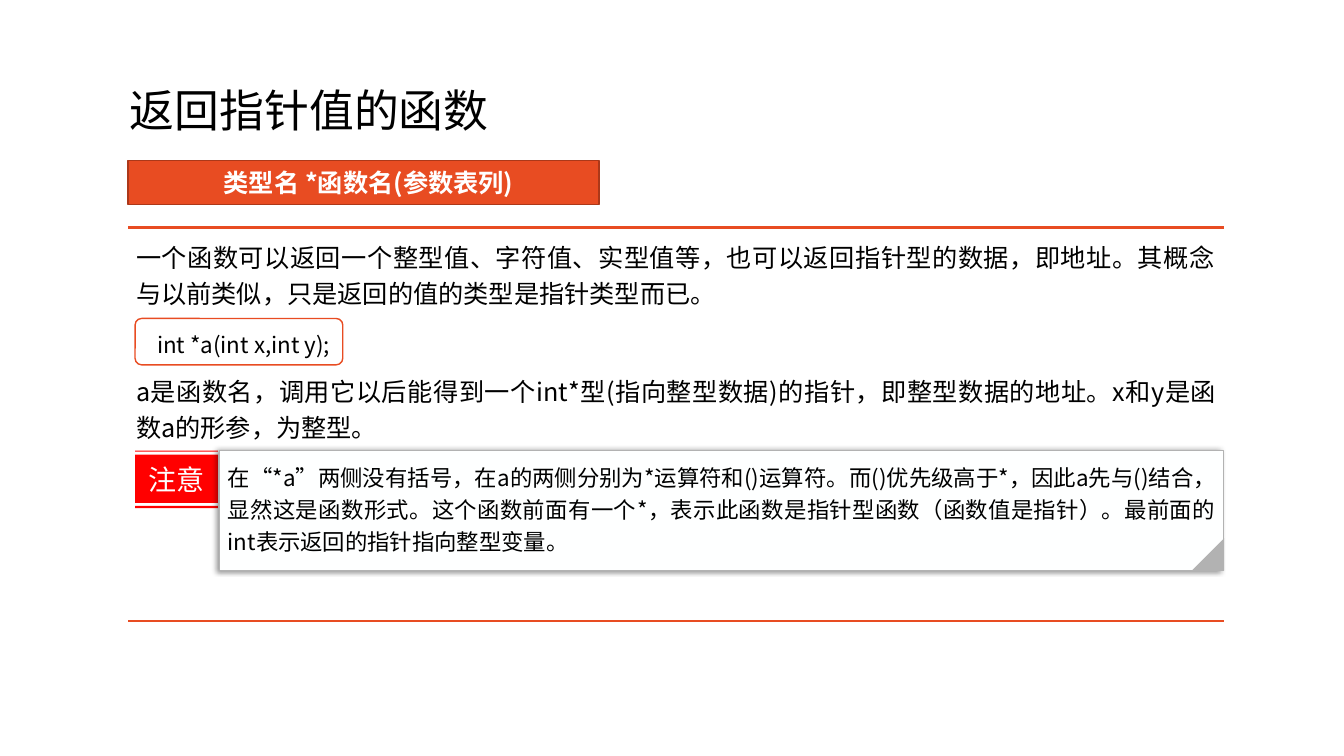
import dataclasses

import lxml.etree
import pptx
import pptx.dml.color
import pptx.enum.shapes
import pptx.enum.text
import pptx.oxml.ns
import pptx.util

TITLE = "返回指针值的函数"
SYNTAX = "类型名 *函数名(参数表列)"
BODY = [
    "一个函数可以返回一个整型值、字符值、实型值等，也可以返回指针型的数据，即地址。其概念与以前类似，只是返回的值的类型是指针类型而已。",
    "a是函数名，调用它以后能得到一个int*型(指向整型数据)的指针，即整型数据的地址。x和y是函数a的形参，为整型。",
]
CODE = "int *a(int x,int y);"
NOTE_LABEL = "注意"
NOTE = (
    "在“*a”两侧没有括号，在a的两侧分别为*运算符和()运算符。而()优先级高于*，"
    "因此a先与()结合，显然这是函数形式。这个函数前面有一个*，表示此函数是指针型函数"
    "（函数值是指针）。最前面的int表示返回的指针指向整型变量。"
)


@dataclasses.dataclass(frozen=True)
class Theme:
    font: str = "Noto Sans CJK SC"
    ink: str = "000000"
    paper: str = "FFFFFF"
    accent: str = "E84C22"
    accent_edge: str = "AC3819"
    alert: str = "FF0000"
    note_fill: str = "FEFFFF"
    note_edge: str = "B2B2B2"
    title: int = 32
    label: int = 20
    body: int = 18
    small: int = 16


THEME = Theme()
SHAPES = pptx.enum.shapes.MSO_SHAPE
ALIGN = pptx.enum.text.PP_ALIGN
ANCHOR = pptx.enum.text.MSO_ANCHOR
WIDTH, HEIGHT = 13.33, 7.5
LEFT, RIGHT = 1.27, 12.14           # edges of the content column
INNER = LEFT + 0.07                 # indented edge for code and note
RULE_TOP, RULE_BOTTOM = 2.26, 6.16
NOTE_LEFT, NOTE_TOP, NOTE_HEIGHT = 2.18, 4.47, 1.19
FOLD = 0.32
LABEL_WIDTH = 0.82
LABEL_BANDS = [(0, 0.01), (0.04, 0.52), (0.55, 0.57)]  # top, bottom below NOTE_TOP
WIDE_INSETS = (0.2, 0.05, 0.1, 0.05)
EVEN_INSETS = (0.08,) * 4


def inches(*values):
    return [pptx.util.Inches(value) for value in values]


def rgb(code):
    return pptx.dml.color.RGBColor.from_string(code)


def paint(shape, fill, line=None, weight=1):
    shape.shadow.inherit = False
    shape.fill.solid()
    shape.fill.fore_color.rgb = rgb(fill)
    if line:
        shape.line.color.rgb = rgb(line)
        shape.line.width = pptx.util.Pt(weight)
    else:
        shape.line.fill.background()


def write(shape, *texts, size, color=THEME.ink, bold=False, align=ALIGN.LEFT,
          anchor=ANCHOR.TOP, spacing=1.0, after=0, gap=0, insets=(0.1, 0.05, 0.1, 0.05)):
    """Fill a shape with one paragraph per text; gap is the space before later ones."""
    frame = shape.text_frame
    frame.word_wrap = True
    frame.vertical_anchor = anchor
    (frame.margin_left, frame.margin_top,
     frame.margin_right, frame.margin_bottom) = inches(*insets)
    for index, text in enumerate(texts):
        para = frame.add_paragraph() if index else frame.paragraphs[0]
        para.alignment = align
        para.line_spacing = spacing
        para.space_after = pptx.util.Pt(after)
        if index:
            para.space_before = pptx.util.Pt(gap)
        span = para.add_run()
        span.text = text
        span.font.size = pptx.util.Pt(size)
        span.font.bold = bold
        span.font.color.rgb = rgb(color)
        span.font.name = THEME.font
        lxml.etree.SubElement(span.font._element, pptx.oxml.ns.qn("a:ea"),
                              typeface=THEME.font)


def add_rule(page, top):
    rule = page.shapes.add_connector(pptx.enum.shapes.MSO_CONNECTOR.STRAIGHT,
                                     *inches(LEFT, top, RIGHT, top))
    rule.line.color.rgb = rgb(THEME.accent)
    rule.line.width = pptx.util.Pt(2)
    lxml.etree.SubElement(rule._element.spPr, pptx.oxml.ns.qn("a:effectLst"))


def add_left_shadow(shape):
    qn = pptx.oxml.ns.qn
    effects = shape._element.spPr.find(qn("a:effectLst"))
    shadow = lxml.etree.SubElement(
        effects, qn("a:outerShdw"), blurRad=str(pptx.util.Pt(4)),
        dist=str(pptx.util.Pt(3)), dir="10800000", rotWithShape="0")
    color = lxml.etree.SubElement(shadow, qn("a:srgbClr"), val=THEME.ink)
    lxml.etree.SubElement(color, qn("a:alpha"), val="40000")


def add_note_label(page):
    left, right = inches(INNER, INNER + LABEL_WIDTH)
    builder = None
    for band in LABEL_BANDS:
        top, bottom = inches(*(NOTE_TOP + offset for offset in band))
        if builder is None:
            builder = page.shapes.build_freeform(left, top)
        else:
            builder.move_to(left, top)
        builder.add_line_segments([(right, top), (right, bottom), (left, bottom)])
    label = builder.convert_to_shape()
    paint(label, THEME.alert)
    write(label, NOTE_LABEL, size=THEME.label, color=THEME.note_fill,
          align=ALIGN.CENTER, anchor=ANCHOR.MIDDLE)


def add_note(page):
    add_note_label(page)
    note = page.shapes.add_shape(SHAPES.RECTANGLE, *inches(
        NOTE_LEFT, NOTE_TOP, RIGHT - NOTE_LEFT, NOTE_HEIGHT))
    paint(note, THEME.note_fill, THEME.note_edge, 0.75)
    add_left_shadow(note)
    write(note, NOTE, size=THEME.small, align=ALIGN.JUSTIFY, spacing=1.2,
          after=6, insets=EVEN_INSETS)
    fold = page.shapes.add_shape(SHAPES.RIGHT_TRIANGLE, *inches(
        RIGHT - FOLD, NOTE_TOP + NOTE_HEIGHT - FOLD, FOLD, FOLD))
    fold.rotation = 270
    paint(fold, THEME.note_edge)


def main():
    deck = pptx.Presentation()
    deck.slide_width, deck.slide_height = inches(WIDTH, HEIGHT)
    page = deck.slides.add_slide(deck.slide_layouts[6])

    title = page.shapes.add_textbox(*inches(1.19, 0.4, 7.9, 1.45))
    write(title, TITLE, size=THEME.title, anchor=ANCHOR.MIDDLE, spacing=0.9)

    syntax = page.shapes.add_shape(SHAPES.RECTANGLE, *inches(LEFT, 1.59, 4.67, 0.44))
    paint(syntax, THEME.accent, THEME.accent_edge)
    write(syntax, SYNTAX, size=THEME.body, color=THEME.paper, bold=True,
          align=ALIGN.CENTER, anchor=ANCHOR.MIDDLE, insets=WIDE_INSETS)

    for top in (RULE_TOP, RULE_BOTTOM):
        add_rule(page, top)
    body = page.shapes.add_textbox(*inches(
        LEFT, RULE_TOP, RIGHT - LEFT, RULE_BOTTOM - RULE_TOP))
    write(body, *BODY, size=THEME.body, align=ALIGN.JUSTIFY, spacing=1.2,
          after=6, gap=38, insets=EVEN_INSETS)

    code = page.shapes.add_shape(SHAPES.ROUNDED_RECTANGLE,
                                 *inches(INNER, 3.16, 2.06, 0.46))
    code.adjustments[0] = 0.14
    paint(code, THEME.paper, THEME.accent)
    write(code, CODE, size=THEME.small, spacing=1.2, insets=WIDE_INSETS)

    add_note(page)
    deck.save("out.pptx")


if __name__ == "__main__":
    main()
